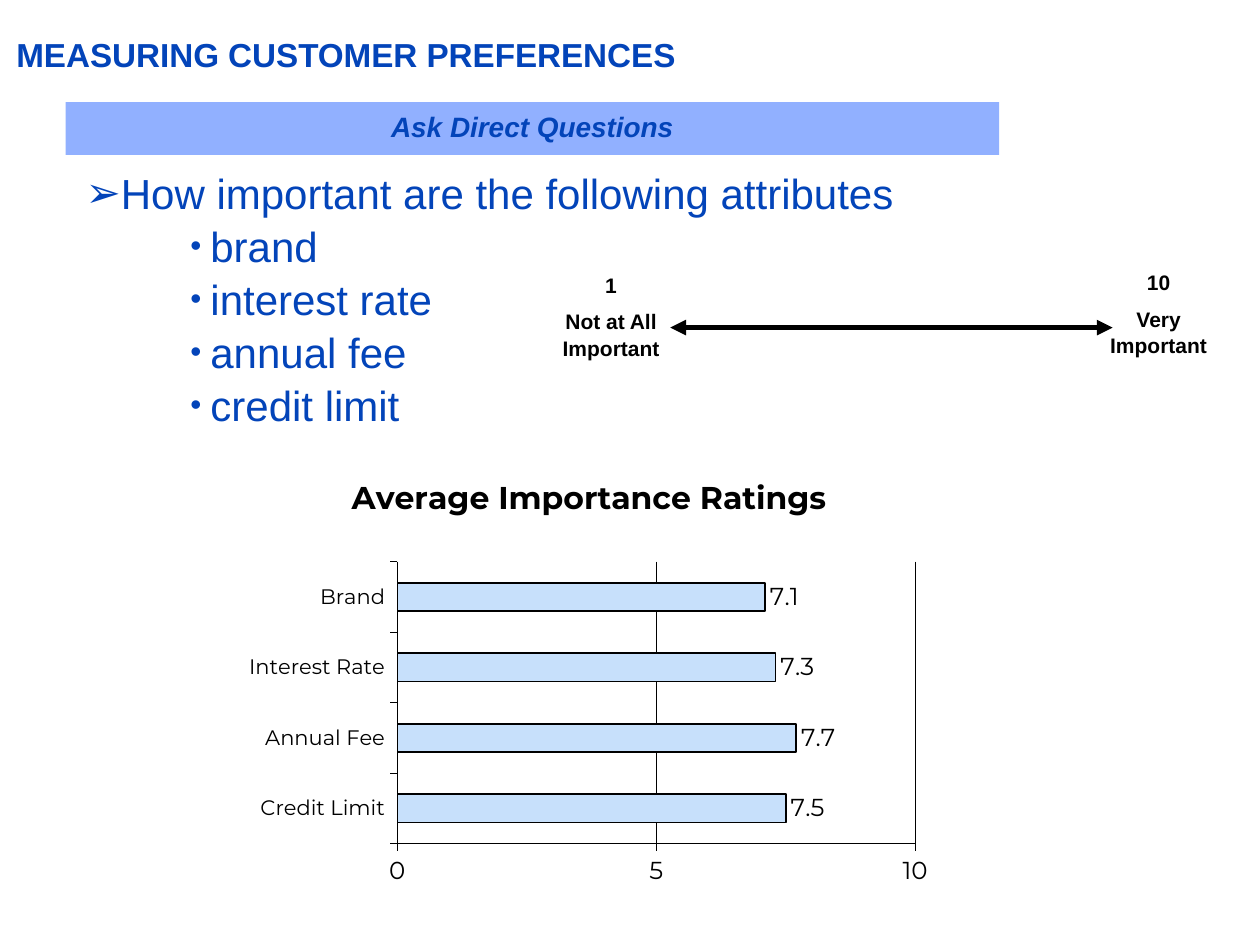
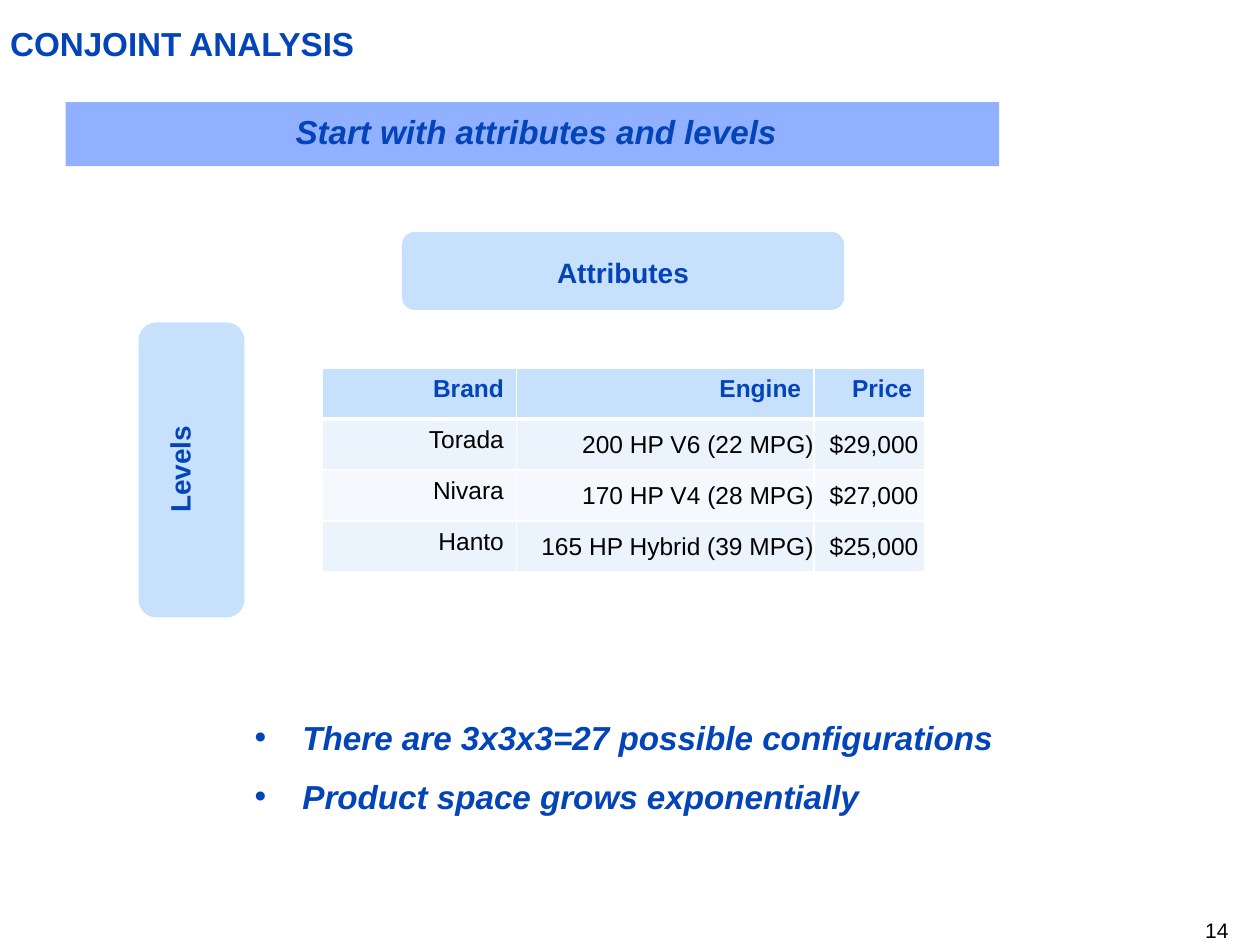
"""Build two slides on customer preferences and conjoint analysis."""
from dataclasses import dataclass, replace
from typing import Optional

import lxml.etree
import pptx
import pptx.chart.data
import pptx.dml.color
import pptx.enum.chart
import pptx.enum.dml
import pptx.enum.shapes
import pptx.enum.text
import pptx.oxml.ns
import pptx.util

Inches = pptx.util.Inches
Pt = pptx.util.Pt
RGBColor = pptx.dml.color.RGBColor
Align = pptx.enum.text.PP_ALIGN
Anchor = pptx.enum.text.MSO_ANCHOR
Shape = pptx.enum.shapes.MSO_SHAPE
qn = pptx.oxml.ns.qn

BLUE = RGBColor(0x03, 0x44, 0xB9)
BAND = RGBColor(0x91, 0xB0, 0xFF)
PALE = RGBColor(0xC7, 0xE0, 0xFB)
ODD = RGBColor(0xEB, 0xF3, 0xFD)
EVEN = RGBColor(0xF5, 0xF9, 0xFE)
BLACK = RGBColor(0, 0, 0)
WHITE = RGBColor(255, 255, 255)


@dataclass(frozen=True)
class Box:
    """A place on the slide, in inches."""
    left: float
    top: float
    width: float
    height: float

    def span(self) -> tuple:
        """Give the four lengths."""
        return tuple(map(Inches, (self.left, self.top, self.width, self.height)))


@dataclass(frozen=True)
class Style:
    """The look of a paragraph."""
    size: float
    color: RGBColor = BLUE
    bold: bool = True
    slant: bool = False
    align: Align = Align.LEFT
    gap: float = 0


@dataclass(frozen=True)
class Bullet:
    """A bullet sign with its indent in inches."""
    sign: str
    left: float
    hang: float
    scale: int = 100


@dataclass(frozen=True)
class Line:
    """A paragraph of text."""
    text: str
    style: Style
    bullet: Optional[Bullet] = None


TITLE = Style(19)
HEAD = Style(16, slant=True, align=Align.CENTER)
LABEL = Style(16, align=Align.CENTER)
SCALE = Style(12, BLACK, align=Align.CENTER, gap=6)
ASK = Style(24, bold=False)
POINT = Style(19, slant=True, gap=9.5)
CELL = Style(14, BLACK, bold=False, align=Align.RIGHT)
PAGE = Style(12, BLACK, bold=False, align=Align.RIGHT)
ARROW = Bullet("➢", 0.33, 0.17)
DOT = Bullet("•", 1.15, 0.16, 75)
MARK = Bullet("•", 0.38, 0.38)


def add_sub(parent, tag: str, **attrs: str):
    """Append an XML child."""
    return lxml.etree.SubElement(parent, qn(tag), attrs)


def write(frame, lines: list[Line]) -> None:
    """Write styled paragraphs into a text frame."""
    frame.word_wrap = True
    for i, line in enumerate(lines):
        para = frame.add_paragraph() if i else frame.paragraphs[0]
        style, mark = line.style, line.bullet
        para.text = line.text
        para.alignment = style.align
        para.line_spacing = 1.05
        if i and style.gap:
            para.space_before = Pt(style.gap)
        if mark:
            props = para._p.get_or_add_pPr()
            props.set("marL", str(Inches(mark.left)))
            props.set("indent", str(-Inches(mark.hang)))
            add_sub(props, "a:buSzPct", val=str(mark.scale * 1000))
            add_sub(props, "a:buFont", typeface="Arial")
            add_sub(props, "a:buChar", char=mark.sign)
        font = para.font
        font.name, font.size = "Arial", Pt(style.size)
        font.bold, font.italic = style.bold, style.slant
        font.color.rgb = style.color


def add_text(slide, box: Box, lines: list[Line], inset: bool = False):
    """Add a text box, with or without the usual margins."""
    text = slide.shapes.add_textbox(*box.span())
    frame = text.text_frame
    if not inset:
        frame.margin_left = frame.margin_right = 0
        frame.margin_top = frame.margin_bottom = 0
    write(frame, lines)
    return text


def add_block(slide, box: Box, color: RGBColor, kind: Shape):
    """Add a plain filled shape."""
    block = slide.shapes.add_shape(kind, *box.span())
    block.shadow.inherit = False
    block.fill.solid()
    block.fill.fore_color.rgb = color
    block.line.fill.background()
    block.text_frame.vertical_anchor = Anchor.TOP
    return block


def start(deck, title: str, left: float, top: float, depth: float):
    """Add a slide with its title and band."""
    slide = deck.slides.add_slide(deck.slide_layouts[6])
    band = add_block(slide, Box(0.52, 0.81, 7.41, depth), BAND, Shape.RECTANGLE)
    add_text(slide, Box(left, top, 9.62, 0.32), [Line(title, TITLE)])
    return slide, band


def add_arrow(slide, left: float, right: float, level: float) -> None:
    """Add a level line with a head at each end."""
    arrow = slide.shapes.add_connector(
        pptx.enum.shapes.MSO_CONNECTOR.STRAIGHT,
        Inches(left), Inches(level), Inches(right), Inches(level))
    arrow.line.color.rgb = BLACK
    arrow.line.width = Pt(3)
    stroke = arrow.line._get_or_add_ln()
    for end in ("a:headEnd", "a:tailEnd"):
        add_sub(stroke, end, type="triangle")
    add_sub(arrow.element.spPr, "a:effectLst")


def set_font(font, size: float, bold: bool = False) -> None:
    """Set a chart font."""
    font.name, font.size, font.bold = "Montserrat", Pt(size), bold
    font.color.rgb = BLACK


def draw_line(line, width: float) -> None:
    """Make a chart line black."""
    line.color.rgb = BLACK
    line.width = Pt(width)


def add_bars(slide, box: Box) -> None:
    """Add the chart of average ratings."""
    data = pptx.chart.data.CategoryChartData(number_format="0.0")
    data.categories = ["Credit Limit", "Annual Fee", "Interest Rate", "Brand"]
    data.add_series("Series 1", (7.5, 7.7, 7.3, 7.1))
    kinds = pptx.enum.chart
    chart = slide.shapes.add_chart(
        kinds.XL_CHART_TYPE.BAR_CLUSTERED, *box.span(), data).chart
    chart.has_legend = False
    set_font(chart.font, 14)
    chart.has_title = True
    head = chart.chart_title.text_frame
    head.text = "Average Importance Ratings"
    set_font(head.paragraphs[0].font, 18, True)
    chart.chart_title.include_in_layout = False
    for axis, size in ((chart.category_axis, 12), (chart.value_axis, 14)):
        set_font(axis.tick_labels.font, size)
        axis.major_tick_mark = kinds.XL_TICK_MARK.OUTSIDE
        draw_line(axis.format.line, 0.25)
    scale = chart.value_axis
    scale.minimum_scale, scale.maximum_scale, scale.major_unit = 0, 10, 5
    scale.tick_labels.number_format = "0"
    scale.tick_labels.number_format_is_linked = False
    draw_line(scale.major_gridlines.format.line, 0.25)
    plot = chart.plots[0]
    plot.gap_width, plot.vary_by_categories = 150, False
    plot.has_data_labels = True
    tags = plot.data_labels
    tags.show_value = True
    tags.position = kinds.XL_LABEL_POSITION.OUTSIDE_END
    set_font(tags.font, 14)
    bars = plot.series[0].format
    bars.fill.solid()
    bars.fill.fore_color.rgb = PALE
    draw_line(bars.line, 1)
    area = chart._chartSpace.chart.plotArea
    for old in area.findall(qn("c:layout")):
        area.remove(old)
    frame = lxml.etree.Element(qn("c:layout"))
    area.insert(0, frame)
    rule = add_sub(frame, "c:manualLayout")
    add_sub(rule, "c:layoutTarget", val="inner")
    for side in "xy":
        add_sub(rule, f"c:{side}Mode", val="edge")
    for side, part in zip("xywh", (0.23, 0.23, 0.73, 0.6)):
        add_sub(rule, f"c:{side}", val=str(part))


def edge(cell, widths: dict[str, float]) -> None:
    """Draw white cell borders."""
    props = cell._tc.get_or_add_tcPr()
    for side, width in widths.items():
        line = add_sub(props, f"a:ln{side}", w=str(Pt(width)))
        add_sub(add_sub(line, "a:solidFill"), "a:srgbClr", val=str(WHITE))


def add_grid(slide, box: Box, wides: tuple, rows: list[tuple]) -> None:
    """Add the table of attributes and levels."""
    table = slide.shapes.add_table(len(rows), len(wides), *box.span()).table
    for col, wide in zip(table.columns, wides):
        col.width = Inches(wide)
    for r, row in enumerate(rows):
        fill = PALE if r == 0 else ODD if r % 2 else EVEN
        style = CELL if r else replace(CELL, color=BLUE, bold=True)
        for c, text in enumerate(row):
            cell = table.cell(r, c)
            edge(cell, {"L": 1, "R": 1, "T": 3 if r == 1 else 1, "B": 1 if r else 3})
            cell.fill.solid()
            cell.fill.fore_color.rgb = fill
            if r and c:
                cell.vertical_anchor = Anchor.MIDDLE
                cell.margin_left = cell.margin_top = cell.margin_bottom = 0
                cell.margin_right = Inches(0.05 if c == 2 else 0)
            write(cell.text_frame, [Line(text, style)])


def rate(deck) -> None:
    """Build the slide of direct questions."""
    slide, band = start(deck, "MEASURING CUSTOMER PREFERENCES", 0.13, 0.26, 0.42)
    write(band.text_frame, [Line("Ask Direct Questions", HEAD)])
    items = ("brand", "interest rate", "annual fee", "credit limit")
    lines = [Line("How important are the following attributes", ASK, ARROW)]
    lines += [Line(item, ASK, DOT) for item in items]
    add_text(slide, Box(0.52, 1.31, 9.62, 2.49), lines)
    add_bars(slide, Box(1.86, 3.6, 5.63, 3.73))
    add_arrow(slide, 5.32, 8.83, 2.6)
    for box, *words in (
            (Box(4.11, 2.1, 1.48, 0.81), "1", "Not at All Important"),
            (Box(8.54, 2.08, 1.31, 0.81), "10", "Very Important")):
        add_text(slide, box, [Line(word, SCALE) for word in words], True)


def match(deck) -> None:
    """Build the slide of attributes and levels."""
    slide, _ = start(deck, "CONJOINT ANALYSIS", 0.08, 0.17, 0.51)
    add_text(slide, Box(7.67, 7.27, 2.08, 0.2), [Line("14", PAGE)])
    add_text(slide, Box(0.7, 0.87, 7.11, 0.32),
             [Line("Start with attributes and levels", replace(HEAD, size=19))])
    add_grid(slide, Box(2.56, 2.92, 4.78, 1.62), (1.54, 2.36, 0.88), [
        ("Brand", "Engine", "Price"),
        ("Torada", "200 HP V6 (22 MPG)", "$29,000"),
        ("Nivara", "170 HP V4 (28 MPG)", "$27,000"),
        ("Hanto", "165 HP Hybrid (39 MPG)", "$25,000")])
    for block, box, word, turn in (
            (Box(3.19, 1.84, 3.51, 0.62), Box(3.56, 1.97, 2.77, 0.37),
             "Attributes", "horz"),
            (Box(1.1, 2.56, 0.84, 2.34), Box(1.23, 3.03, 0.47, 1.39),
             "Levels", "vert270")):
        add_block(slide, block, PALE, Shape.ROUNDED_RECTANGLE)
        text = add_text(slide, box, [Line(word, LABEL)], True)
        text.element.txBody.bodyPr.set("vert", turn)
    points = ("There are 3x3x3=27 possible configurations",
              "Product space grows exponentially")
    add_text(slide, Box(2.02, 5.68, 7.15, 0.8),
             [Line(point, POINT, MARK) for point in points])


def main() -> None:
    """Build and save the deck."""
    deck = pptx.Presentation()
    deck.slide_width, deck.slide_height = Inches(10), Inches(7.5)
    rate(deck)
    match(deck)
    deck.save("out.pptx")


if __name__ == "__main__":
    main()
